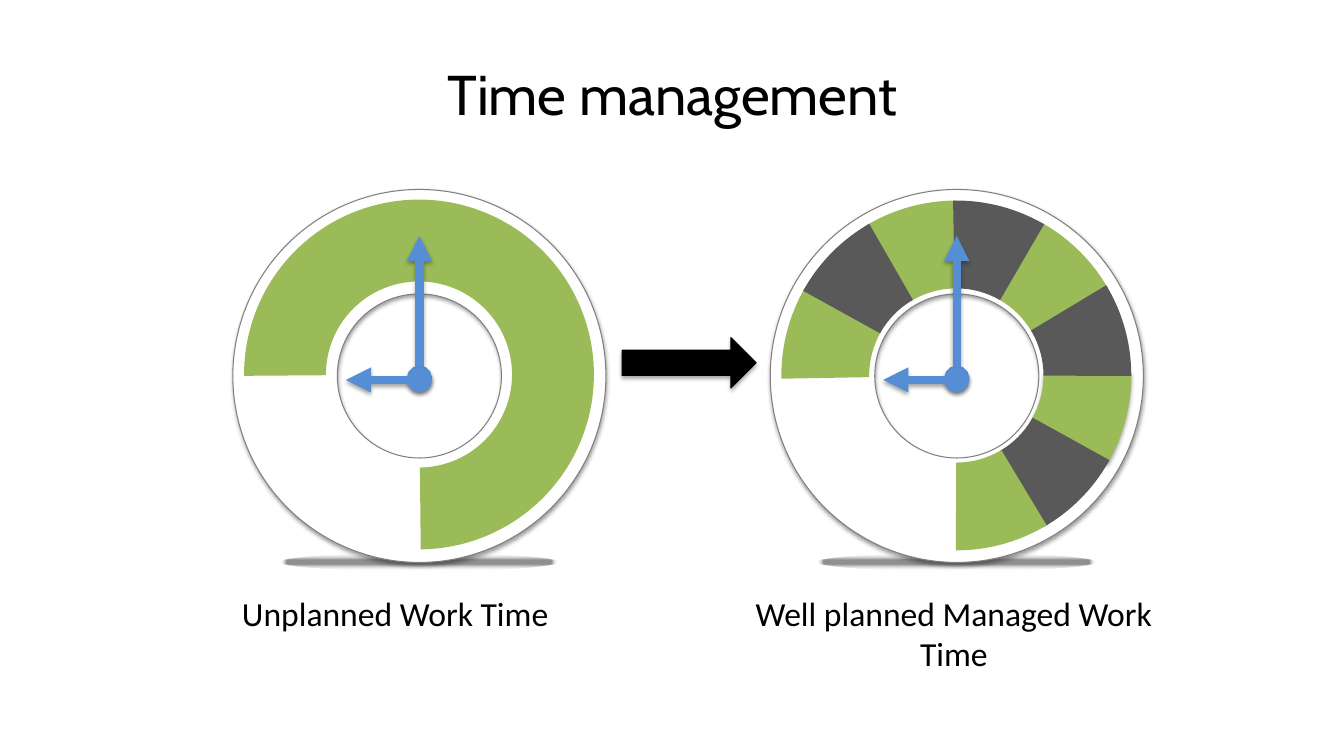
from dataclasses import dataclass

from pptx import Presentation
from pptx.dml.color import RGBColor
from pptx.enum.shapes import MSO_CONNECTOR, MSO_SHAPE
from pptx.enum.text import MSO_ANCHOR, PP_ALIGN
from pptx.oxml import parse_xml
from pptx.oxml.ns import nsdecls
from pptx.util import Inches, Pt

STRAIGHT = MSO_CONNECTOR.STRAIGHT
OVAL, DONUT = MSO_SHAPE.OVAL, MSO_SHAPE.DONUT
BLOCK_ARC, RIGHT_ARROW = MSO_SHAPE.BLOCK_ARC, MSO_SHAPE.RIGHT_ARROW
MIDDLE, TOP = MSO_ANCHOR.MIDDLE, MSO_ANCHOR.TOP
CENTER = PP_ALIGN.CENTER

BLACK = RGBColor(0x00, 0x00, 0x00)
WHITE = RGBColor(0xFF, 0xFF, 0xFF)
GRAY = RGBColor(0x80, 0x80, 0x80)
DARK = RGBColor(0x59, 0x59, 0x59)
GREEN = RGBColor(0x9B, 0xBB, 0x59)
BLUE = RGBColor(0x55, 0x8E, 0xD5)

DIAL_SIZE = 3.7
DIAL_TOP = 1.88
RING_SIZE = 3.47
ADJUST_PER_DEGREE = 0.6


@dataclass
class Box:
    left: float
    top: float
    width: float
    height: float

    def lengths(self):
        return [Inches(n) for n in (self.left, self.top, self.width, self.height)]


@dataclass
class Segment:
    start: float
    end: float
    thickness: float
    rotation: int
    color: RGBColor
    shadow: bool = False


@dataclass
class Clock:
    left: float
    ring_top: float
    segments: list[Segment]
    caption: str
    caption_box: Box


def set_shadow(shape, alpha: int = 35, distance: float = 1.8) -> None:
    shape._element.spPr.append(parse_xml(
        f'<a:effectLst {nsdecls("a")}><a:outerShdw blurRad="{Pt(3.1)}" '
        f'dist="{Pt(distance)}" dir="5400000" rotWithShape="0">'
        f'<a:srgbClr val="000000"><a:alpha val="{alpha * 1000}"/></a:srgbClr>'
        '</a:outerShdw></a:effectLst>'))


def add_shape(page, kind, box: Box, color: RGBColor, outline: RGBColor | None = None):
    shape = page.shapes.add_shape(kind, *box.lengths())
    shape.fill.solid()
    shape.fill.fore_color.rgb = color
    if outline is None:
        shape.line.fill.background()
    else:
        shape.line.color.rgb = outline
        shape.line.width = Pt(0.75)
    return shape


def add_text(page, box: Box, text: str, font: str, size: int, anchor) -> None:
    frame = page.shapes.add_textbox(*box.lengths()).text_frame
    frame.word_wrap = True
    frame.vertical_anchor = anchor
    para = frame.paragraphs[0]
    para.text = text
    para.alignment = CENTER
    para.font.name = font
    para.font.size = Pt(size)
    para.font.color.rgb = BLACK


def add_ground(page, box: Box) -> None:
    ground = add_shape(page, OVAL, box, BLACK)
    ground.shadow.inherit = False
    ground.fill.background()
    properties = ground._element.spPr
    gradient = parse_xml(
        f'<a:gradFill {nsdecls("a")} rotWithShape="1"><a:gsLst>'
        '<a:gs pos="24000"><a:srgbClr val="000000"><a:alpha val="44000"/></a:srgbClr></a:gs>'
        '<a:gs pos="100000"><a:srgbClr val="FFFFFF"><a:alpha val="0"/></a:srgbClr></a:gs>'
        '</a:gsLst><a:path path="shape">'
        '<a:fillToRect l="50000" t="50000" r="50000" b="50000"/></a:path></a:gradFill>')
    properties.replace(properties[2], gradient)


def add_segment(page, box: Box, segment: Segment) -> None:
    arc = add_shape(page, BLOCK_ARC, box, segment.color)
    arc.adjustments[0] = segment.start * ADJUST_PER_DEGREE
    arc.adjustments[1] = segment.end * ADJUST_PER_DEGREE
    arc.adjustments[2] = segment.thickness
    arc.rotation = segment.rotation
    if segment.shadow:
        set_shadow(arc)
    else:
        arc.shadow.inherit = False


def add_hand(page, start: tuple[float, float], end: tuple[float, float]) -> None:
    hand = page.shapes.add_connector(STRAIGHT, *[Inches(n) for n in start + end])
    hand.line.color.rgb = BLUE
    hand.line.width = Pt(6)
    line = hand.line._get_or_add_ln()
    for end_tag, kind in (("headEnd", "oval"), ("tailEnd", "triangle")):
        line.append(parse_xml(f'<a:{end_tag} {nsdecls("a")} type="{kind}"/>'))
    set_shadow(hand)


def add_clock(page, clock: Clock) -> None:
    add_ground(page, Box(clock.left + 0.47, 5.49, 2.75, 0.17))
    dial_box = Box(clock.left, DIAL_TOP, DIAL_SIZE, DIAL_SIZE)
    dial = add_shape(page, DONUT, dial_box, WHITE, GRAY)
    dial.adjustments[0] = 0.28
    set_shadow(dial, alpha=38, distance=1.6)
    ring = Box(clock.left + 0.11, clock.ring_top, RING_SIZE, RING_SIZE)
    for segment in clock.segments:
        add_segment(page, ring, segment)
    center = clock.left + DIAL_SIZE / 2
    add_hand(page, (center, 3.75), (center, 2.34))
    add_hand(page, (center, 3.77), (center - 0.73, 3.77))
    add_text(page, clock.caption_box, clock.caption, "Calibri", 24, TOP)


def planned_segments() -> list[Segment]:
    greens = [Segment(238.95, 270.15, 0.251, (300 + 60 * i) % 360, GREEN, i == 3)
              for i in range(5)]
    darks = [Segment(238.95, 270.15, 0.251, (330 + 60 * i) % 360, DARK)
             for i in range(4)]
    return greens[:4] + darks + greens[4:]


def main() -> None:
    deck = Presentation()
    deck.slide_width, deck.slide_height = Inches(13.33), Inches(7.5)
    page = deck.slides.add_slide(deck.slide_layouts[6])
    add_text(page, Box(0.67, 0.3, 12, 1.25), "Time management", "Cabin", 40, MIDDLE)
    clocks = [
        Clock(7.64, 1.99, planned_segments(), "Well planned Managed Work Time",
              Box(7.25, 5.83, 4.42, 0.91)),
        Clock(2.31, 1.98, [Segment(359.56, 269.43, 0.234, 180, GREEN)],
              "Unplanned Work Time", Box(1.67, 5.83, 4.5, 0.5)),
    ]
    for clock in clocks:
        add_clock(page, clock)
    arrow = add_shape(page, RIGHT_ARROW, Box(6.17, 3.35, 1.33, 0.5), BLACK, BLACK)
    set_shadow(arrow)
    deck.save("out.pptx")


if __name__ == "__main__":
    main()
